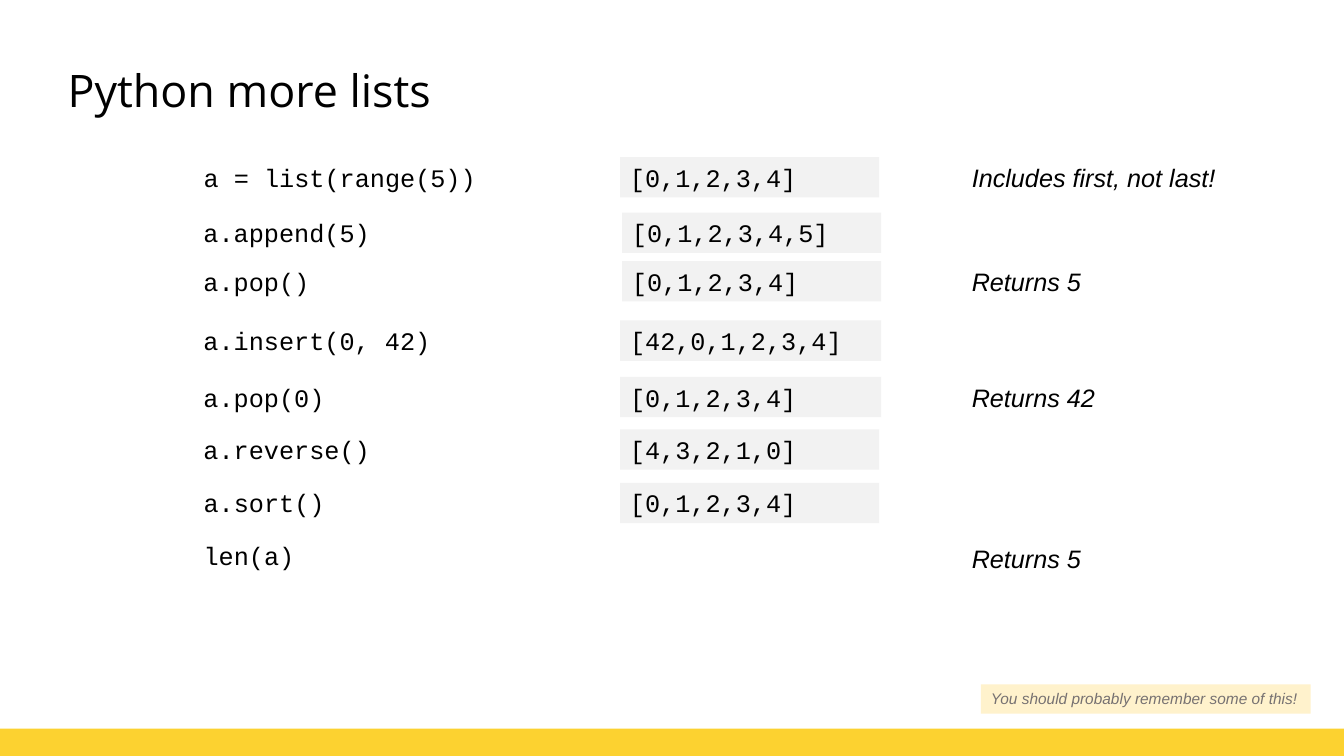
from pptx import Presentation
from pptx.dml.color import RGBColor
from pptx.enum.shapes import MSO_SHAPE
from pptx.enum.text import MSO_ANCHOR, MSO_AUTO_SIZE, PP_ALIGN
from pptx.util import Pt

PX = 9144
BLACK = RGBColor(0x00, 0x00, 0x00)
YELLOW = RGBColor(0xFC, 0xD2, 0x30)
GREY = RGBColor(0xF2, 0xF2, 0xF2)
CREAM = RGBColor(0xFF, 0xF2, 0xCC)
DIM = RGBColor(0x76, 0x71, 0x71)

TITLE = "Python more lists"
REMINDER = "You should probably remember some of this!"
CODE_X, NOTE_X = 192, 954
ROW_H = 40
ROWS = [
    (156, "a = list(range(5))", 292, "[0,1,2,3,4]", (615, 257), "Includes first, not last!", 264),
    (211, "a.append(5)", 200, "[0,1,2,3,4,5]", (617, 257), "", 0),
    (259, "a.pop()", 174, "[0,1,2,3,4]", (617, 257), "Returns 5", 130),
    (318, "a.insert(0, 42)", 250, "[42,0,1,2,3,4]", (615, 259), "", 0),
    (374, "a.pop(0)", 156, "[0,1,2,3,4]", (615, 259), "Returns 42", 144),
    (426, "a.reverse()", 234, "[4,3,2,1,0]", (615, 257), "", 0),
    (479, "a.sort()", 155, "[0,1,2,3,4]", (615, 257), "", 0),
    (531, "len(a)", 155, "", (0, 0), "", 0),
    (534, "", 0, "", (0, 0), "Returns 5", 130),
]


def style(p, font, size, color, italic=False):
    p.alignment = PP_ALIGN.LEFT
    for r in p.runs:
        r.font.name = font
        r.font.size = Pt(size)
        r.font.color.rgb = color
        r.font.italic = italic


def add_rect(shapes, x, y, w, h, fill):
    sp = shapes.add_shape(MSO_SHAPE.RECTANGLE, x * PX, y * PX, w * PX, h * PX)
    sp.shadow.inherit = False
    sp.fill.solid()
    sp.fill.fore_color.rgb = fill
    sp.line.fill.background()
    return sp


def add_text(s, text, x, y, w, h, font, size=18, color=BLACK, italic=False, fill=None, wrap=True):
    if not text:
        return
    if fill is None:
        sp = s.shapes.add_textbox(x * PX, y * PX, w * PX, h * PX)
    else:
        sp = add_rect(s.shapes, x, y, w, h, fill)
    tf = sp.text_frame
    tf.text = text
    tf.word_wrap = wrap
    tf.auto_size = MSO_AUTO_SIZE.SHAPE_TO_FIT_TEXT
    tf.vertical_anchor = MSO_ANCHOR.TOP
    style(tf.paragraphs[0], font, size, color, italic)


def main():
    prs = Presentation()
    prs.slide_width, prs.slide_height = 1333 * PX, 750 * PX
    s = prs.slides.add_slide(prs.slide_layouts[5])
    add_rect(s.shapes, 0, 723, 1333, 27, YELLOW)

    title = s.shapes.title
    title.left, title.top, title.width, title.height = 67 * PX, 30 * PX, 1200 * PX, 125 * PX
    tf = title.text_frame
    tf.text = TITLE
    tf.auto_size = MSO_AUTO_SIZE.NONE
    tf.vertical_anchor = MSO_ANCHOR.MIDDLE
    tf.margin_left = tf.margin_top = tf.margin_right = tf.margin_bottom = 0
    tf.paragraphs[0].line_spacing = 0.9
    style(tf.paragraphs[0], "Open Sans", 32, BLACK)

    for y, code, code_w, result, (x, w), note, note_w in ROWS:
        add_text(s, code, CODE_X, y, code_w, ROW_H, "Courier New")
        add_text(s, result, x, y, w, ROW_H, "Courier New", fill=GREY)
        add_text(s, note, NOTE_X, y, note_w, ROW_H, "Arial", italic=True, wrap=False)

    add_text(s, REMINDER, 973, 679, 327, 29, "Arial", 11, DIM, True, CREAM, False)
    prs.save("out.pptx")


if __name__ == "__main__":
    main()
